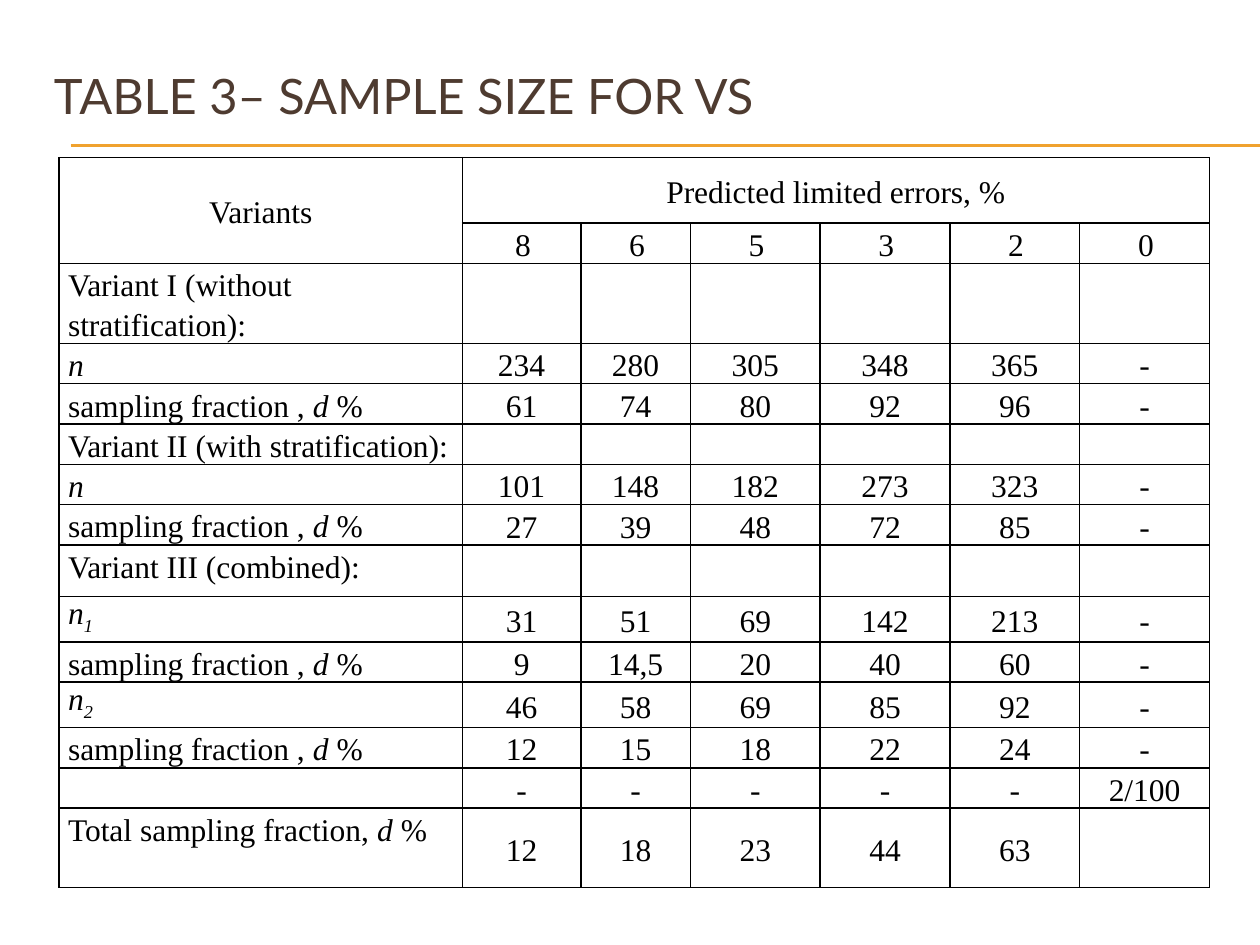
from lxml import etree
from pptx import Presentation
from pptx.dml.color import RGBColor
from pptx.enum.shapes import MSO_CONNECTOR
from pptx.enum.text import MSO_ANCHOR, PP_ALIGN
from pptx.oxml.ns import qn
from pptx.util import Inches, Pt

CENTER, JUSTIFY, LEFT = PP_ALIGN.CENTER, PP_ALIGN.JUSTIFY, PP_ALIGN.LEFT
MIDDLE, TOP = MSO_ANCHOR.MIDDLE, MSO_ANCHOR.TOP
STRAIGHT = MSO_CONNECTOR.STRAIGHT

WIDTH, HEIGHT = Inches(10), Inches(7.5)
COLORS = {"title": "4E3B30", "rule": "F0A22E", "ink": "000000"}
COLUMNS = [3.2, 0.94, 0.87] + [1.03] * 4
ROW = 0.32
TALL_ROWS = {0: 0.52, 2: 0.63, 8: 0.41, 9: 0.36, 11: 0.36, 14: 0.63}
LINE = Pt(22.9)

COUNT = [("n", "italic")]
FRACTION = [("sampling fraction , ", ""), ("d ", "italic"), ("%", "")]
TOTAL = [("Total sampling fraction, ", "")] + FRACTION[1:]
ERRORS = ["8", "6", "5", "3", "2", "0"]
BODY = [
    ("Variant I (without stratification):", []),
    (COUNT, ["234", "280", "305", "348", "365", "-"]),
    (FRACTION, ["61", "74", "80", "92", "96", "-"]),
    ("Variant II (with stratification):", []),
    (COUNT, ["101", "148", "182", "273", "323", "-"]),
    (FRACTION, ["27", "39", "48", "72", "85", "-"]),
    ("Variant III (combined):", []),
    (COUNT + [("1", "italic sub")], ["31", "51", "69", "142", "213", "-"]),
    (FRACTION, ["9", "14,5", "20", "40", "60", "-"]),
    (COUNT + [("2", "italic sub")], ["46", "58", "69", "85", "92", "-"]),
    (FRACTION, ["12", "15", "18", "22", "24", "-"]),
    ("", ["-"] * 5 + ["2/100"]),
    (TOTAL, ["12", "18", "23", "44", "63"]),
]


def write(frame, text, size=18, font="Times New Roman", color="ink",
          align=LEFT, spacing=LINE):
    """Write a string or a list of (text, style) spans as one paragraph."""
    spans = [(text, "")] if isinstance(text, str) else text
    para = frame.paragraphs[0]
    para.alignment = align
    para.line_spacing = spacing
    for words, style in spans:
        span = para.add_run()
        span.text = words
        span.font.size = Pt(size)
        span.font.name = font
        span.font.color.rgb = RGBColor.from_string(COLORS[color])
        span.font.italic = "italic" in style
        if "sub" in style:
            span.font._element.set("baseline", "-25000")


def add_title(page, text):
    """Add the slide heading."""
    box = page.shapes.add_textbox(
        int(WIDTH * 0.033), int(HEIGHT * 0.07), int(WIDTH * 0.95), Inches(0.6))
    frame = box.text_frame
    frame.word_wrap = True
    frame.vertical_anchor = TOP
    frame.margin_top = frame.margin_bottom = 0
    write(frame, text, size=27.9, font="Lato", color="title", spacing=1.0)


def add_rule(page, top):
    """Add a thin line that runs to the right edge of the slide."""
    rule = page.shapes.add_connector(
        STRAIGHT, int(WIDTH * 0.056), Inches(top), WIDTH, Inches(top))
    rule.line.color.rgb = RGBColor.from_string(COLORS["rule"])
    rule.line.width = Pt(0.75)
    etree.SubElement(rule._element.spPr, qn("a:effectLst"))


def add_borders(cell):
    """Draw a one point line on all four sides of a cell."""
    properties = cell._tc.get_or_add_tcPr()
    for side in ("lnL", "lnR", "lnT", "lnB"):
        line = etree.SubElement(properties, qn(f"a:{side}"), w=str(Pt(1)))
        fill = etree.SubElement(line, qn("a:solidFill"))
        etree.SubElement(fill, qn("a:srgbClr"), val=COLORS["ink"])


def fill_cell(cell, text, anchor=MIDDLE, left=0.07, align=CENTER):
    """Put text in a cell with tight margins."""
    cell.vertical_anchor = anchor
    cell.margin_left, cell.margin_right = Inches(left), Inches(0.07)
    if text:
        write(cell.text_frame, text, align=align)


def add_table(page):
    """Add the bordered table of sample sizes."""
    heights = [TALL_ROWS.get(row, ROW) for row in range(len(BODY) + 2)]
    table = page.shapes.add_table(
        len(heights), len(COLUMNS), int(WIDTH * 0.047), int(HEIGHT / 6),
        Inches(sum(COLUMNS)), Inches(sum(heights))).table
    table.first_row = table.horz_banding = False
    for column, width in zip(table.columns, COLUMNS):
        column.width = Inches(width)
    for row, height in zip(table.rows, heights):
        row.height = Inches(height)
    for cell in table.iter_cells():
        add_borders(cell)
        cell.fill.background()
        cell.margin_top = cell.margin_bottom = 0
    table.cell(0, 0).merge(table.cell(1, 0))
    table.cell(0, 1).merge(table.cell(0, len(COLUMNS) - 1))
    fill_cell(table.cell(0, 0), "Variants")
    fill_cell(table.cell(0, 1), "Predicted limited errors, %")
    for column, error in enumerate(ERRORS, 1):
        fill_cell(table.cell(1, column), error, left=0.09)
    for row, (label, values) in enumerate(BODY, 2):
        align = LEFT if isinstance(label, str) else JUSTIFY
        fill_cell(table.cell(row, 0), label, anchor=TOP, align=align)
        for column, value in enumerate(values, 1):
            fill_cell(table.cell(row, column), value)


def main():
    """Build the slide and save it."""
    deck = Presentation()
    deck.slide_width, deck.slide_height = WIDTH, HEIGHT
    page = deck.slides.add_slide(deck.slide_layouts[6])
    for top in (1.15, 1.16):
        add_rule(page, top)
    add_title(page, "TABLE 3– SAMPLE SIZE FOR VS")
    add_table(page)
    deck.save("out.pptx")


if __name__ == "__main__":
    main()
